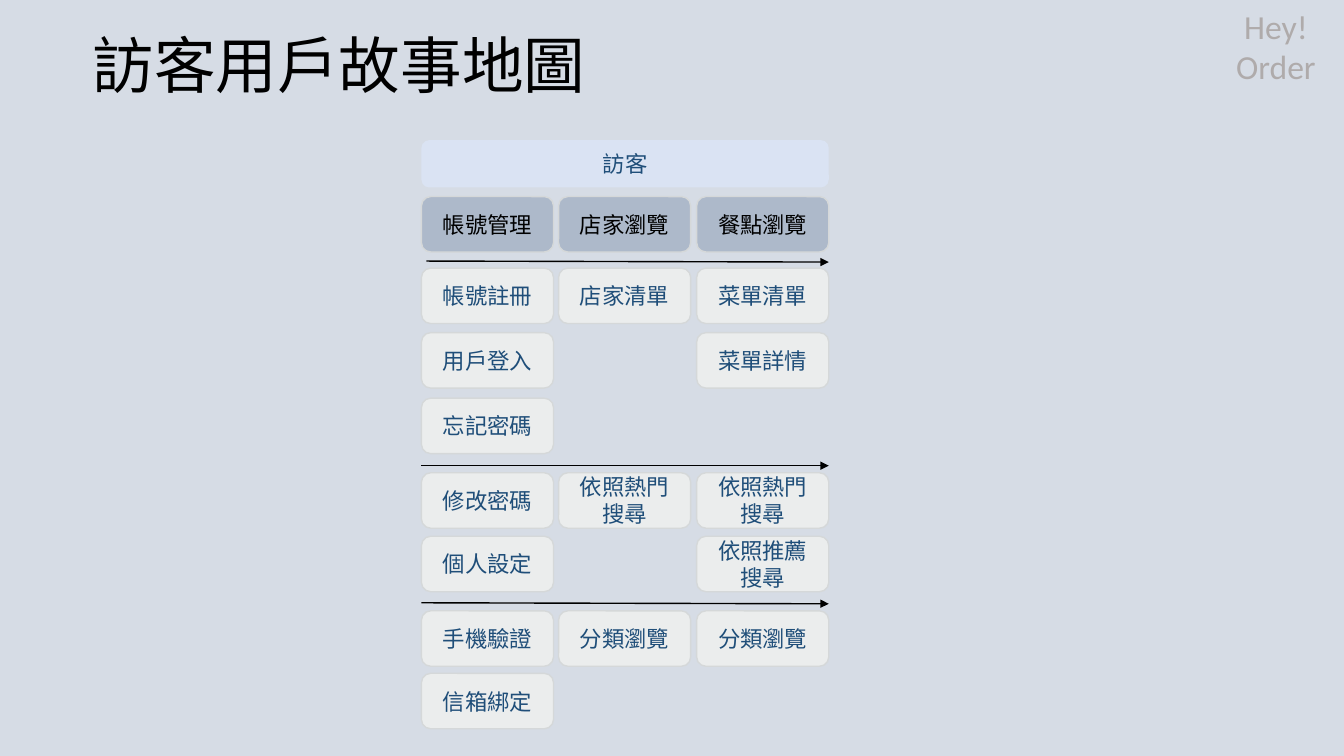
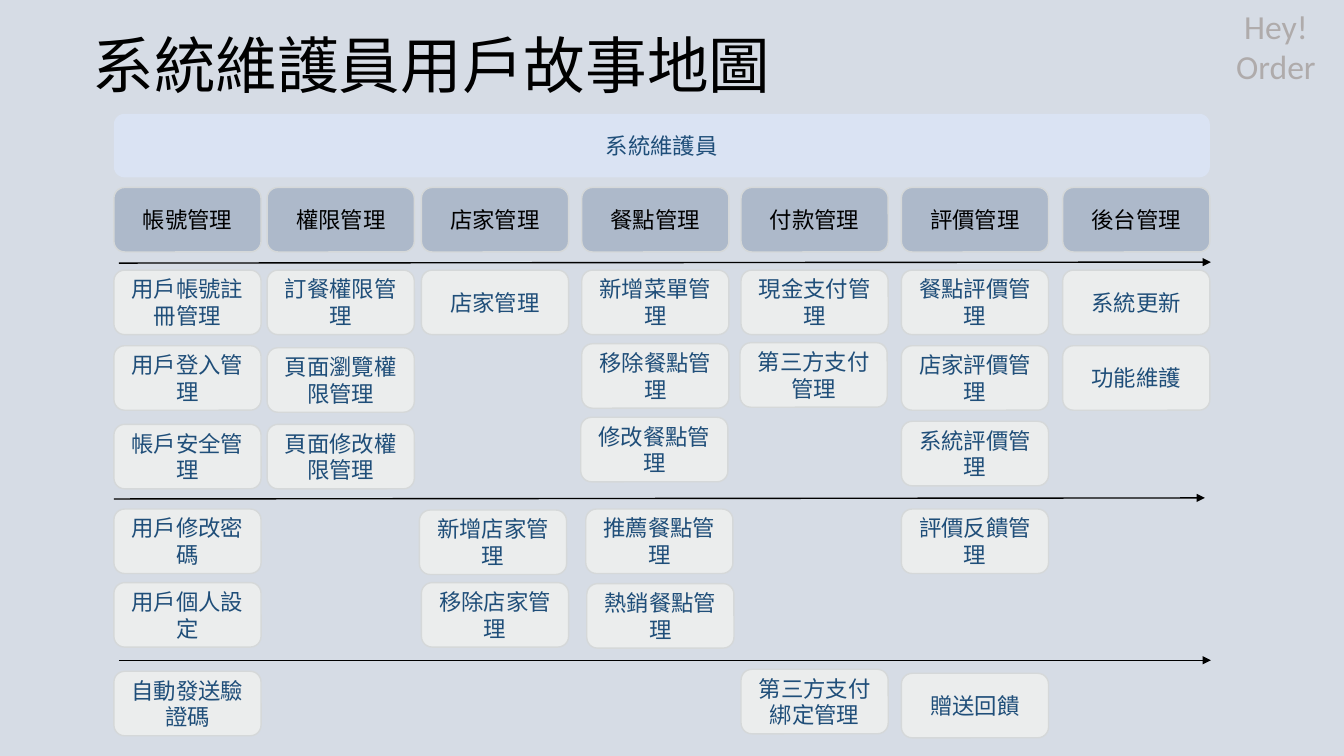
from lxml import etree
from pptx import Presentation
from pptx.dml.color import RGBColor
from pptx.enum.shapes import MSO_CONNECTOR as CONN, MSO_SHAPE as SHAPE
from pptx.enum.text import MSO_ANCHOR as ANCHOR, MSO_AUTO_SIZE as AUTO, PP_ALIGN as ALIGN
from pptx.oxml.ns import qn
from pptx.util import Inches, Pt

COLORS = {
    "page": "D6DCE5", "black": "000000", "mark": "AFABAB", "band": "DAE3F3",
    "head": "ADB9CA", "card": "EBEDED", "edge": "D5D8D9", "ink": "1F4E79",
}
CJK, LATIN = "Noto Sans CJK SC", "Calibri"
MARK = ["Hey!", "Order"]

# Content: one list per row of cards, one entry per column, lengths in inches.
# "nudge" shifts a card, keyed by (row, column), off its grid place.
MAPS = [
    {
        "title": "訪客用戶故事地圖",
        "role": "訪客", "band": (1.39, 0.47),
        "heads": ["帳號管理", "店家瀏覽", "餐點瀏覽"], "head_top": 1.95,
        "cols": [4.18, 5.54, 6.91], "card": (1.31, 0.55),
        "rows": [
            (2.66, ["帳號註冊", "店家清單", "菜單清單"]),
            (3.3, ["用戶登入", None, "菜單詳情"]),
            (3.95, ["忘記密碼", None, None]),
            (4.69, ["修改密碼", "依照熱門搜尋", "依照熱門搜尋"]),
            (5.32, ["個人設定", None, "依照推薦搜尋"]),
            (6.06, ["手機驗證", "分類瀏覽", "分類瀏覽"]),
            (6.68, ["信箱綁定", None, None]),
        ],
        "nudge": {},
        "arrows": [(4.23, 2.59, 8.22, 2.6), (4.18, 4.62, 8.22, 4.62),
                   (4.18, 5.98, 8.22, 5.99)],
    },
    {
        "title": "系統維護員用戶故事地圖",
        "role": "系統維護員", "band": (1.13, 0.63),
        "heads": ["帳號管理", "權限管理", "店家管理", "餐點管理",
                  "付款管理", "評價管理", "後台管理"], "head_top": 1.86,
        "cols": [1.13, 2.65, 4.18, 5.77, 7.35, 8.94, 10.54], "card": (1.46, 0.64),
        "rows": [
            (2.68, ["用戶帳號註冊管理", "訂餐權限管理", "店家管理", "新增菜單管理",
                    "現金支付管理", "餐點評價管理", "系統更新"]),
            (3.43, ["用戶登入管理", "頁面瀏覽權限管理", None, "移除餐點管理",
                    "第三方支付管理", "店家評價管理", "功能維護"]),
            (4.21, ["帳戶安全管理", "頁面修改權限管理", None, "修改餐點管理",
                    None, "系統評價管理", None]),
            (5.05, ["用戶修改密碼", None, "新增店家管理", "推薦餐點管理",
                    None, "評價反饋管理", None]),
            (5.78, ["用戶個人設定", None, "移除店家管理", "熱銷餐點管理",
                    None, None, None]),
            (6.66, ["自動發送驗證碼", None, None, None,
                    "第三方支付綁定管理", "贈送回饋", None]),
        ],
        "nudge": {(1, 1): (0, 0.02), (1, 3): (0, -0.02), (1, 4): (-0.01, -0.03),
                  (2, 3): (-0.01, -0.07), (2, 5): (0, -0.03), (3, 2): (-0.02, 0.01),
                  (3, 3): (0.04, 0), (4, 3): (0.05, 0.01), (5, 4): (0, -0.02),
                  (5, 5): (0, 0.02)},
        "arrows": [(1.18, 2.61, 12.01, 2.6), (1.13, 4.95, 11.95, 4.94),
                   (1.18, 6.55, 12.01, 6.55)],
    },
]


def rgb(name):
    return RGBColor.from_string(COLORS[name])


def write(tf, lines, size, color, font=CJK, align=ALIGN.CENTER, anchor=ANCHOR.MIDDLE):
    tf.word_wrap = True
    tf.vertical_anchor = anchor
    for i, line in enumerate(lines):
        p = tf.add_paragraph() if i else tf.paragraphs[0]
        p.text = line
        p.alignment = align
        p.font.size = Pt(size)
        p.font.color.rgb = rgb(color)
        p.font.name = font
        # East Asian characters take their typeface from a:ea
        props = p._p.pPr.find(qn("a:defRPr"))
        etree.SubElement(props, qn("a:ea")).set("typeface", font)


def add_text(s, box, lines, size, color, **style):
    tf = s.shapes.add_textbox(*map(Inches, box)).text_frame
    write(tf, lines, size, color, **style)
    return tf


def add_card(s, box, text, fill, color="ink", edge="edge"):
    sp = s.shapes.add_shape(SHAPE.ROUNDED_RECTANGLE, *map(Inches, box))
    sp.shadow.inherit = False
    sp.fill.solid()
    sp.fill.fore_color.rgb = rgb(fill)
    if edge:
        sp.line.color.rgb = rgb(edge)
        sp.line.width = Pt(1)
    else:
        sp.line.fill.background()
    write(sp.text_frame, [text], 16, color)


def add_arrow(s, ends):
    line = s.shapes.add_connector(CONN.STRAIGHT, *map(Inches, ends))
    line.line.color.rgb = rgb("black")
    line.line.width = Pt(1)
    props = line._element.spPr
    etree.SubElement(props.find(qn("a:ln")), qn("a:tailEnd")).set("type", "triangle")
    etree.SubElement(props, qn("a:effectLst"))


def add_map(prs, m):
    s = prs.slides.add_slide(prs.slide_layouts[6])

    # Title and corner mark
    tf = add_text(s, (0.82, -0.2, 11, 1.76), [m["title"]], 44, "black", align=ALIGN.LEFT)
    tf.paragraphs[0].line_spacing = 0.9
    tf = add_text(s, (11.43, 0.01, 2.45, 1.31), MARK, 24, "mark",
                  font=LATIN, anchor=ANCHOR.TOP)
    tf.auto_size = AUTO.SHAPE_TO_FIT_TEXT

    # Role band spans all columns
    cols, (w, h) = m["cols"], m["card"]
    top, height = m["band"]
    add_card(s, (cols[0], top, cols[-1] + w - cols[0], height), m["role"], "band", edge=None)

    # Column heads and release arrows
    for x, text in zip(cols, m["heads"]):
        add_card(s, (x, m["head_top"], w, h), text, "head", "black")
    for ends in m["arrows"]:
        add_arrow(s, ends)

    # Story cards
    for r, (y, texts) in enumerate(m["rows"]):
        for c, (x, text) in enumerate(zip(cols, texts)):
            if text:
                dx, dy = m["nudge"].get((r, c), (0, 0))
                add_card(s, (x + dx, y + dy, w, h), text, "card")


def main():
    prs = Presentation()
    prs.slide_width, prs.slide_height = Inches(13.33), Inches(7.5)
    page = prs.slide_master.background.fill
    page.solid()
    page.fore_color.rgb = rgb("page")
    for m in MAPS:
        add_map(prs, m)
    prs.save("out.pptx")


if __name__ == "__main__":
    main()
